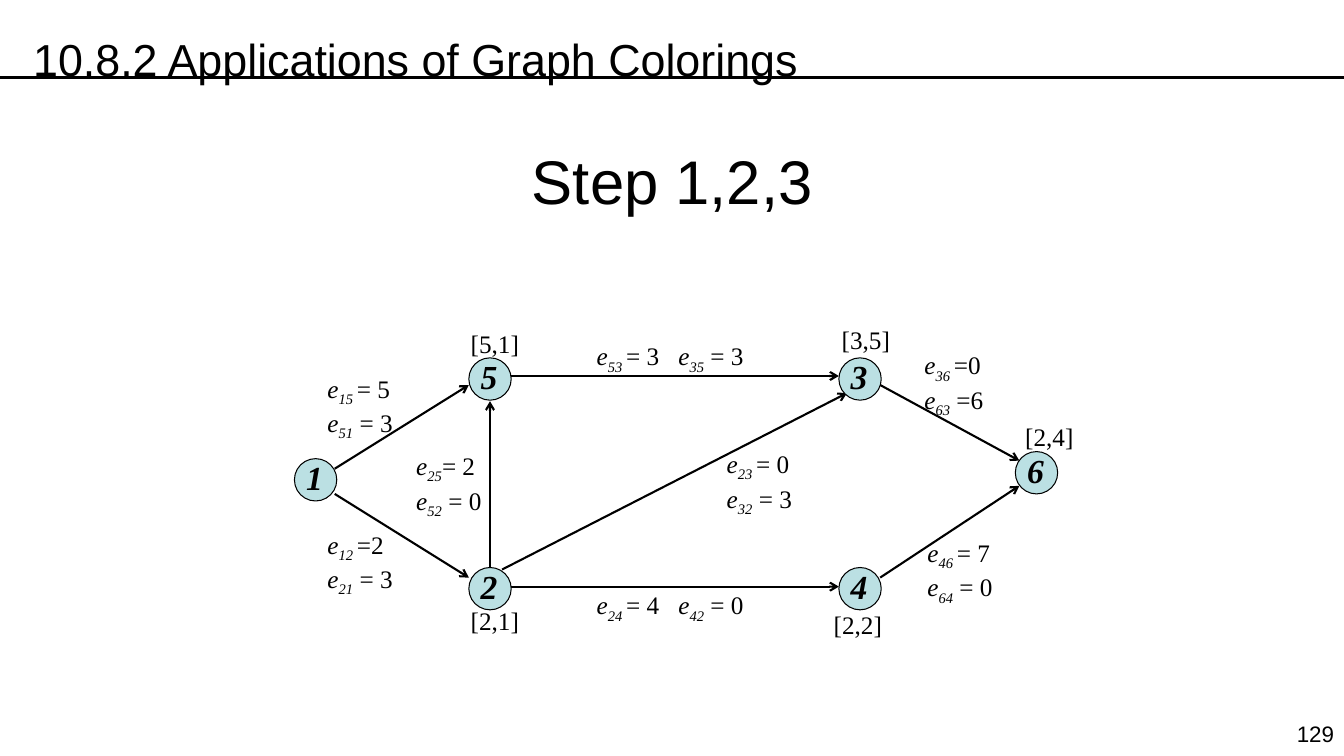
from lxml import etree
from pptx import Presentation
from pptx.dml.color import RGBColor
from pptx.enum import shapes, text
from pptx.oxml.ns import qn
from pptx.util import Inches, Pt

BLACK = RGBColor(0x00, 0x00, 0x00)
NODE_FILL = RGBColor(0xBB, 0xE0, 0xE3)
SANS, SERIF = "Arial", "Times New Roman"
LEFT, CENTER, RIGHT = text.PP_ALIGN.LEFT, text.PP_ALIGN.CENTER, text.PP_ALIGN.RIGHT
NODE = 0.42


def add_run(p, content, size=18, font=SERIF, bold=False, italic=False, sub=False):
    r = p.add_run()
    r.text = content
    r.font.size, r.font.name = Pt(size), font
    r.font.bold, r.font.italic = bold, italic
    r.font.color.rgb = BLACK
    if sub:
        r.font._element.set("baseline", "-25000")


def add_box(x, y, w, h, wrap=False):
    tf = s.shapes.add_textbox(Inches(x), Inches(y), Inches(w), Inches(h)).text_frame
    tf.word_wrap = wrap
    return tf


prs = Presentation()
prs.slide_width, prs.slide_height = Inches(13.33), Inches(7.5)
s = prs.slides.add_slide(prs.slide_layouts[5])

# Title
title = s.shapes.title
title.left, title.top, title.width, title.height = map(Inches, (0.67, 1.16, 12, 1.25))
title.text_frame.vertical_anchor = text.MSO_ANCHOR.MIDDLE
p = title.text_frame.paragraphs[0]
p.alignment = CENTER
add_run(p, "Step 1,2,3", size=44, font=SANS)

# Section heading and page number
for content, x, y, w, h, size, align, spacing in [
    ("10.8.2 Applications of Graph Colorings", 0.23, 0, 12.09, 0.81, 32, LEFT, 1.5),
    ("129", 12.7, 7.1, 0.63, 0.37, 16, RIGHT, 1),
]:
    p = add_box(x, y, w, h, wrap=True).paragraphs[0]
    p.alignment, p.line_spacing = align, spacing
    add_run(p, content, size=size, font=SANS)

# Heading rule and directed edges: start, end, width, arrowhead
for x1, y1, x2, y2, width, arrow in [
    (0, 0.77, 13.33, 0.77, 2.25, False),
    (5.07, 3.73, 8.32, 3.73, 1.5, True),
    (5.07, 5.82, 8.32, 5.82, 1.5, True),
    (3.32, 4.65, 4.65, 3.82, 1.5, True),
    (3.32, 4.9, 4.65, 5.73, 1.5, True),
    (8.73, 3.82, 10.11, 4.57, 1.5, True),
    (8.73, 5.73, 10.11, 4.82, 1.5, True),
    (4.98, 5.65, 8.4, 3.9, 1.5, True),
    (4.86, 5.65, 4.86, 3.98, 1.5, True),
]:
    edge = s.shapes.add_connector(
        shapes.MSO_CONNECTOR.STRAIGHT, Inches(x1), Inches(y1), Inches(x2), Inches(y2))
    edge.line.color.rgb = BLACK
    edge.line.width = Pt(width)
    if arrow:
        etree.SubElement(edge.line._get_or_add_ln(), qn("a:tailEnd"), type="arrow")
    etree.SubElement(edge._element.spPr, qn("a:effectLst"))

# Numbered nodes
for number, x, y in [
    ("1", 2.92, 4.55), ("2", 4.65, 5.63), ("3", 8.32, 3.55),
    ("4", 8.32, 5.63), ("5", 4.65, 3.55), ("6", 10.07, 4.48),
]:
    sp = s.shapes.add_shape(
        shapes.MSO_SHAPE.OVAL, Inches(x), Inches(y), Inches(NODE), Inches(NODE))
    sp.shadow.inherit = False
    sp.fill.solid()
    sp.fill.fore_color.rgb = NODE_FILL
    sp.line.color.rgb = BLACK
    sp.line.width = Pt(0.75)
    tf = sp.text_frame
    tf.word_wrap = False
    tf.vertical_anchor = text.MSO_ANCHOR.MIDDLE
    tf.margin_left = tf.margin_top = 0
    tf.margin_right, tf.margin_bottom = Inches(0.02), Inches(0.05)
    p = tf.paragraphs[0]
    p.alignment = CENTER
    add_run(p, number, size=24, bold=True, italic=True)

# Edge values: each line cycles through symbol | subscript | value
for x, y, w, lines in [
    (9.07, 3.42, 0.81, ["e|36 |=0", "e|63| =6"]),
    (9.1, 5.28, 0.87, ["e|46 |= 7", "e|64| = 0"]),
    (3.15, 3.65, 0.87, ["e|15 |= 5", "e|51| = 3"]),
    (3.15, 5.2, 0.87, ["e|12 |=2", "e|21| = 3"]),
    (4.03, 4.42, 0.87, ["e|25|= 2", "e|52| = 0"]),
    (7.11, 4.4, 0.87, ["e|23 |= 0", "e|32| = 3"]),
    (5.82, 3.33, 1.75, ["e|53 |= 3\t|e|35| = 3"]),
    (5.82, 5.8, 1.75, ["e|24 |= 4\t|e|42| = 0"]),
]:
    tf = add_box(x, y, w, 0.1 + 0.3 * len(lines), wrap=len(lines) == 1)
    for i, line in enumerate(lines):
        p = tf.add_paragraph() if i else tf.paragraphs[0]
        if "\t" in line:
            tabs = etree.SubElement(p._p.get_or_add_pPr(), qn("a:tabLst"))
            etree.SubElement(tabs, qn("a:tab"), pos=str(Inches(0.81)), algn="l")
        for j, part in enumerate(line.split("|")):
            add_run(p, part, italic=j % 3 < 2, sub=j % 3 == 1)

# Node labels
for label, x, y in [
    ("[5,1]", 4.57, 3.21), ("[3,5]", 8.25, 3.17), ("[2,1]", 4.57, 5.96),
    ("[2,4]", 10.07, 4.13), ("[2,2]", 8.17, 6),
]:
    add_run(add_box(x, y, 0.68, 0.4).paragraphs[0], label)

prs.save("out.pptx")
